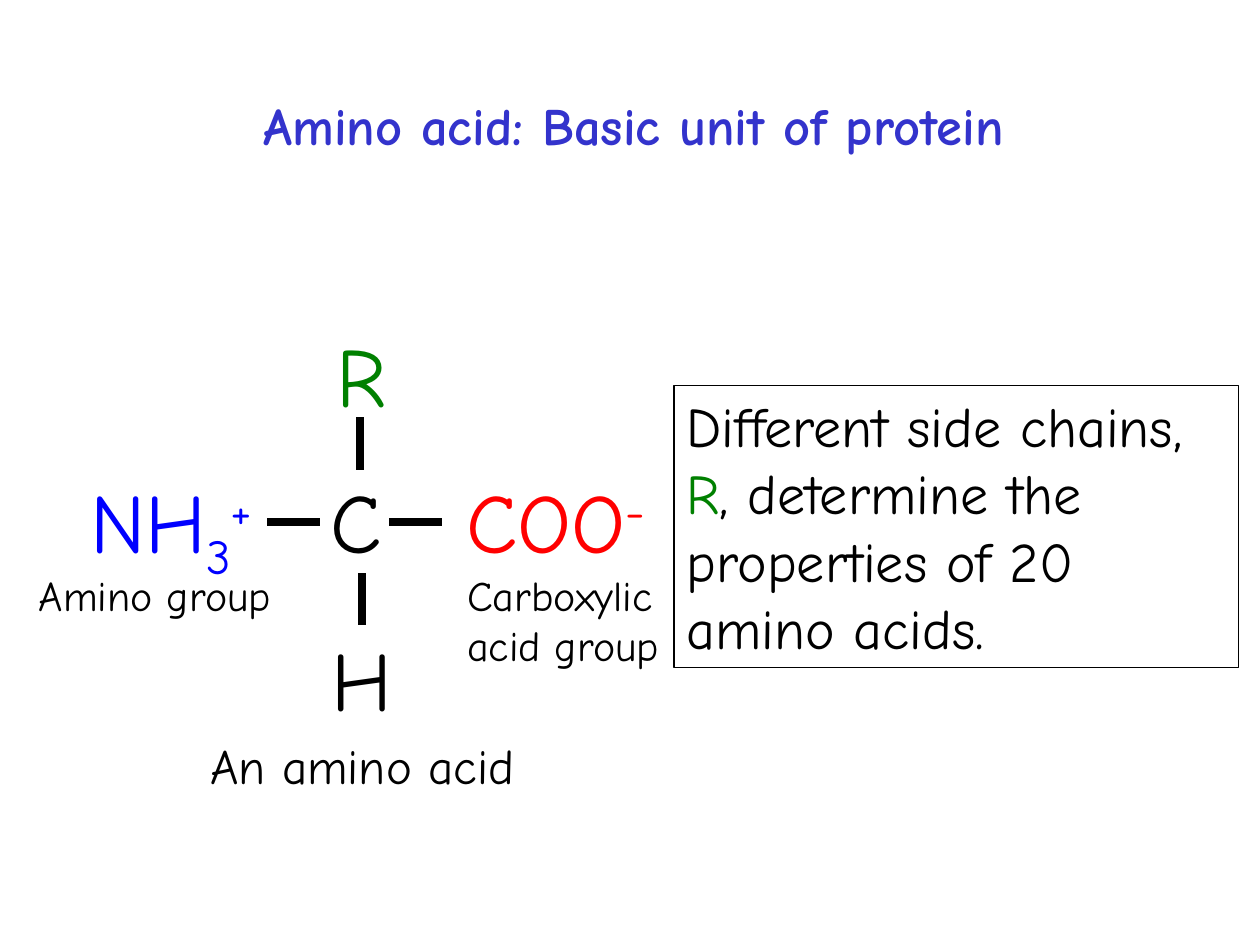
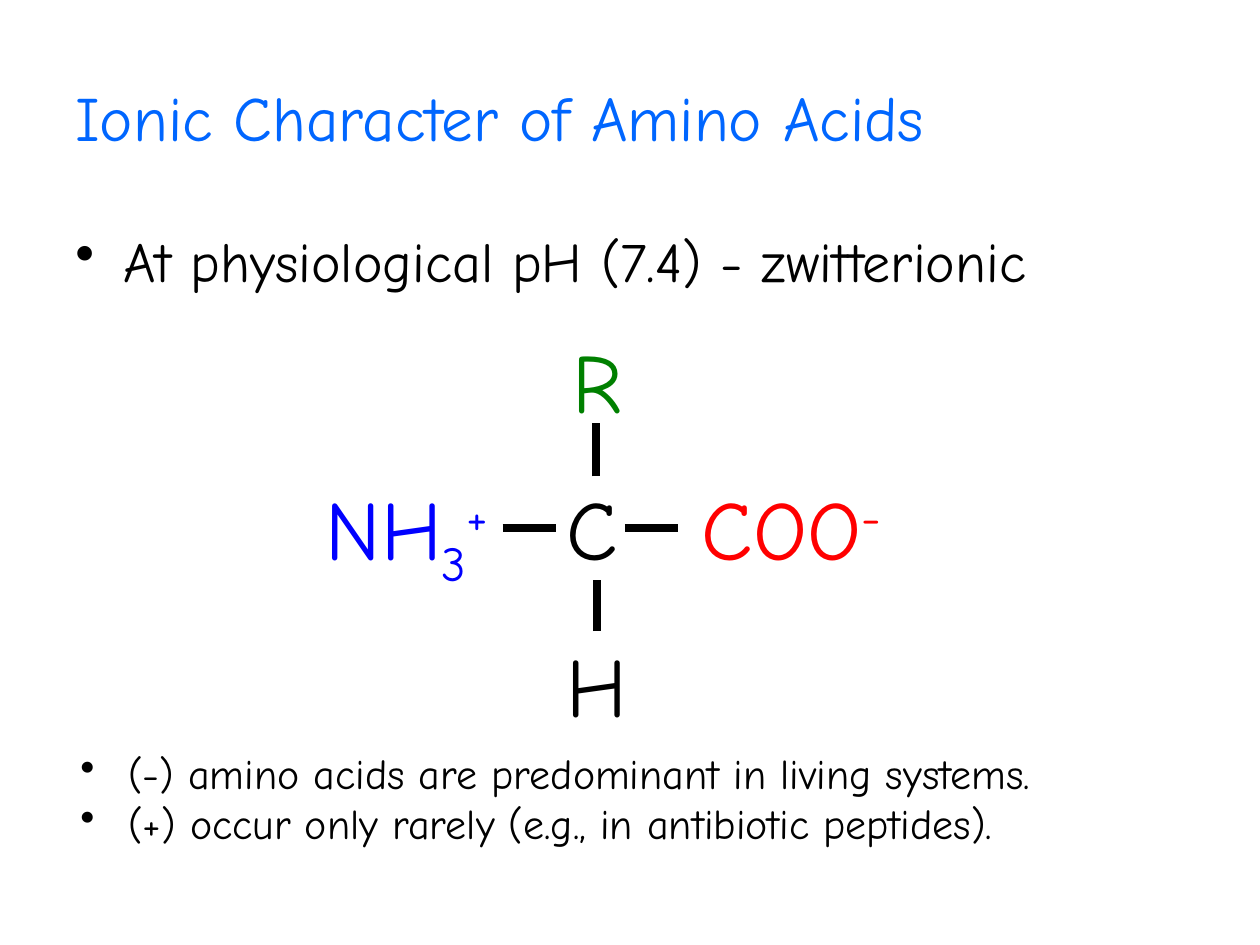
"""Builds two slides about the structure and ionic character of amino acids."""
from lxml import etree
from pptx import Presentation
from pptx import util as u
from pptx.dml.color import RGBColor
from pptx.enum import shapes, text
from pptx.oxml import ns

COLOURS = {
    "ink": "000000",
    "heading": "3333CC",
    "bright": "0066FF",
    "side_chain": "008000",
    "amino": "0000FF",
    "acid": "FF0000",
}
FONT = "Comic Neue"
COLUMNS, ROWS = 100, 75
CENTRE, LEFT = text.PP_ALIGN.CENTER, text.PP_ALIGN.LEFT
TOP, MIDDLE = text.MSO_ANCHOR.TOP, text.MSO_ANCHOR.MIDDLE
SUBSCRIPT, SUPERSCRIPT = -25000, 30000

ATOMS = [
    ((4.8, -4.6, 21.4, 9), "acid", [("COO", 0), ("-", SUPERSCRIPT)]),
    ((-24.3, -4.6, 18.6, 10.1), "amino",
     [("NH", 0), ("3", SUBSCRIPT), ("+", SUPERSCRIPT)]),
    ((-8.2, -4.6, 15.8, 9), "ink", [("C", 0)]),
    ((-7.8, -16.2, 15.8, 9), "side_chain", [("R", 0)]),
    ((-7.8, 7.9, 15.8, 9), "ink", [("H", 0)]),
]
BONDS = [(-7.4, 0, -3.2, 0), (0, -4.1, 0, -8.3),
         (2.3, 0, 6.5, 0), (0.1, 8.2, 0.1, 4.1)]


def rgb(name):
    """Return the named colour."""
    return RGBColor.from_string(COLOURS[name])


class Lesson:
    """Holds the deck, its grid and the current page."""

    def __init__(self):
        """Open an empty deck."""
        self.deck = Presentation()
        self.deck.slide_width, self.deck.slide_height = u.Inches(10), u.Inches(7.5)
        self.page = None

    def new_page(self):
        """Start a blank page."""
        self.page = self.deck.slides.add_slide(self.deck.slide_layouts[6])

    def grid(self, *lengths):
        """Turn alternating columns and rows into slide lengths."""
        cells = (self.deck.slide_width / COLUMNS, self.deck.slide_height / ROWS)
        return [round(length * cells[i % 2]) for i, length in enumerate(lengths)]

    def style(self, para, size, colour, align=LEFT, bold=False):
        """Set the look that all runs of a paragraph share."""
        para.alignment = align
        para.font.name, para.font.size, para.font.bold = FONT, u.Pt(size), bold
        para.font.color.rgb = rgb(colour)

    def bullet(self, para):
        """Give a paragraph a hanging round bullet."""
        props = para._p.get_or_add_pPr()
        indent = u.Inches(0.38)
        props.set("marL", str(indent))
        props.set("indent", str(-indent))
        tint = etree.SubElement(props, ns.qn("a:buClr"))
        etree.SubElement(tint, ns.qn("a:srgbClr")).set("val", COLOURS["ink"])
        etree.SubElement(props, ns.qn("a:buChar")).set("char", "•")

    def label(self, place, lines, size, colour="ink", align=LEFT, anchor=TOP,
              bold=False, bullets=False, wrap=True):
        """Add a text box with one paragraph per line."""
        box = self.page.shapes.add_textbox(*self.grid(*place))
        frame = box.text_frame
        frame.word_wrap, frame.vertical_anchor = wrap, anchor
        for i, line in enumerate(lines):
            para = frame.add_paragraph() if i else frame.paragraphs[0]
            para.text = line
            if bullets:
                self.bullet(para)
            self.style(para, size, colour, align, bold)

    def framed(self, place, spans, size):
        """Add an outlined box whose spans differ in colour."""
        box = self.page.shapes.add_shape(shapes.MSO_SHAPE.RECTANGLE, *self.grid(*place))
        box.shadow.inherit = False
        box.fill.background()
        box.line.color.rgb, box.line.width = rgb("ink"), u.Pt(0.75)
        box.text_frame.word_wrap, box.text_frame.vertical_anchor = True, TOP
        para = box.text_frame.paragraphs[0]
        self.style(para, size, "ink")
        for words, colour in spans:
            span = para.add_run()
            span.text, span.font.color.rgb = words, rgb(colour)

    def atom(self, group, place, colour, spans):
        """Add a chemical symbol with raised or lowered parts."""
        box = group.shapes.add_textbox(*self.grid(*place))
        box.text_frame.word_wrap = True
        para = box.text_frame.paragraphs[0]
        self.style(para, 48, colour, CENTRE)
        for words, shift in spans:
            span = para.add_run()
            span.text = words
            if shift:
                span._r.get_or_add_rPr().set("baseline", str(shift))

    def bond(self, group, ends):
        """Add a thick line between two atoms."""
        line = group.shapes.add_connector(shapes.MSO_CONNECTOR.STRAIGHT, *self.grid(*ends))
        line.line.color.rgb, line.line.width = rgb("ink"), u.Pt(4.5)
        etree.SubElement(line._element.spPr, ns.qn("a:effectLst"))

    def molecule(self, x, y):
        """Add a grouped amino acid around its central carbon."""
        group = self.page.shapes.add_group_shape()
        for (left, top, width, height), colour, spans in ATOMS:
            self.atom(group, (x + left, y + top, width, height), colour, spans)
        for x1, y1, x2, y2 in BONDS:
            self.bond(group, (x + x1, y + y1, x + x2, y + y2))


def main():
    """Build and save the deck."""
    lesson = Lesson()

    lesson.new_page()
    lesson.label((7.8, 6.6, 85, 6.6), ["Amino acid: Basic unit of protein"], 30,
                 "heading", CENTRE, MIDDLE, bold=True)
    lesson.label((12.1, 57.9, 33.3, 5.7), ["An amino acid"], 28, align=CENTRE)
    lesson.framed((53.5, 30.6, 44.8, 22.4),
                  [("Different side chains, ", "ink"), ("R", "side_chain"),
                   (", determine the properties of 20 amino acids.", "ink")], 32)
    lesson.label((2.1, 44.7, 20.5, 5), ["Amino group"], 24, wrap=False)
    lesson.label((36.1, 44.7, 17.9, 9), ["Carboxylic", "acid group"], 24, wrap=False)
    lesson.molecule(28.6, 41.4)

    lesson.new_page()
    lesson.label((5, 3, 90, 12.5), ["Ionic Character of Amino Acids"], 36,
                 "bright", anchor=MIDDLE)
    lesson.label((5, 17.5, 90, 49.5), ["At physiological pH (7.4) - zwitterionic"],
                 32, bullets=True)
    lesson.molecule(47.3, 41.9)
    lesson.label((5.4, 58.8, 93.4, 13),
                 ["(-) amino acids are predominant in living systems.",
                  "(+) occur only rarely (e.g., in antibiotic peptides)."],
                 24, bullets=True)

    lesson.deck.save("out.pptx")


if __name__ == "__main__":
    main()
